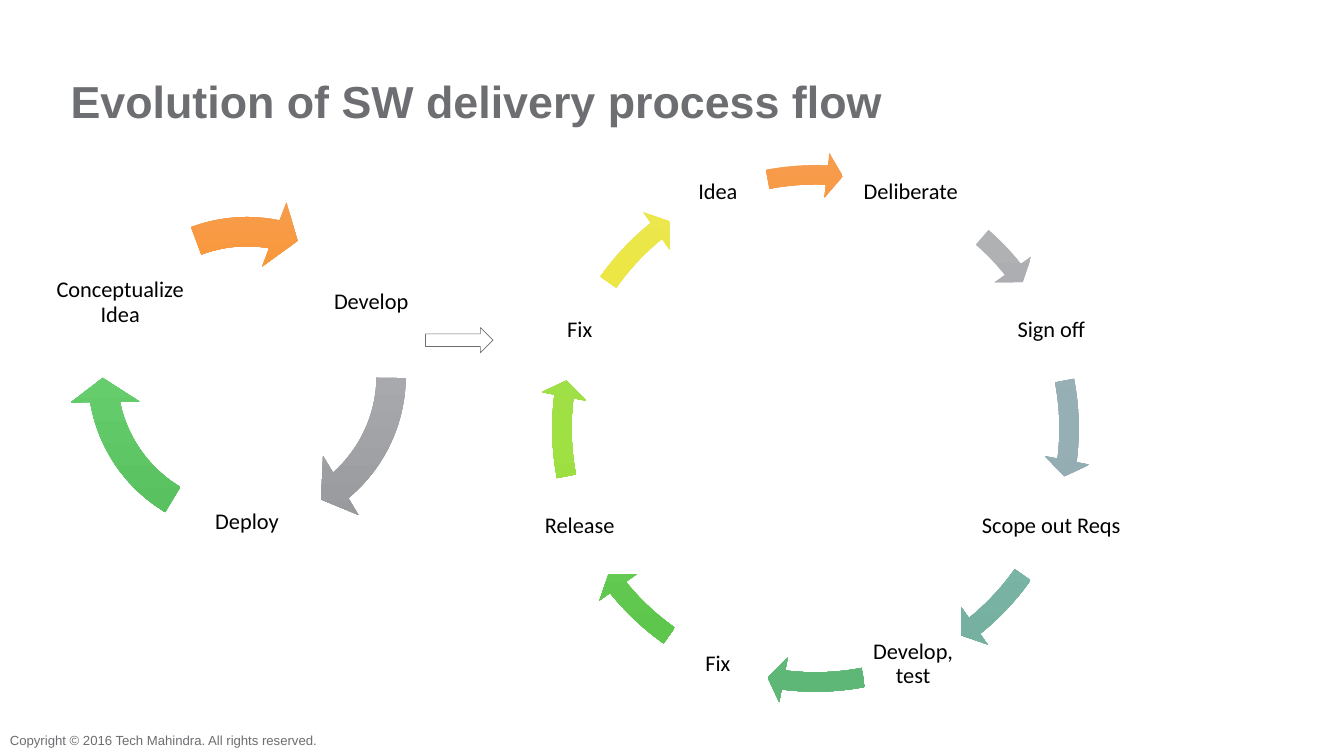
from copy import deepcopy
from dataclasses import dataclass
from math import cos, radians, sin

from pptx import Presentation
from pptx.dml.color import RGBColor
from pptx.enum import shapes, text
from pptx.util import Pt


@dataclass(frozen=True)
class Theme:
    heading: str = "Arial"
    body: str = "Calibri"
    title_size: float = 32
    label_size: float = 16
    footer_size: float = 9.4
    gray: str = "6D6E71"
    black: str = "000000"
    white: str = "FFFFFF"
    orange: tuple = ("F79C4F", "FE9112", "E5810D")
    silver: tuple = ("B1B3B5", "A7A9AC", "949699")
    green: tuple = ("7CCF81", "65CD6C", "54BC5B")
    steel: tuple = ("A3B7BB", "95AFB4", "839DA2")
    teal: tuple = ("94C2B5", "83BDAD", "71AB9B")
    jade: tuple = ("84CA97", "6FC788", "5EB677")
    leaf: tuple = ("81D474", "6CD35A", "5BC249")
    lime: tuple = ("A9DE65", "9FE043", "8FCF34")
    yellow: tuple = ("EAE658", "EEE92B", "DED91D")


T = Theme()
SHAPE = shapes.MSO_SHAPE
ALIGN = text.PP_ALIGN
MIDDLE = text.MSO_ANCHOR.MIDDLE

SHORT_CYCLE = dict(
    box=(48.9, 141, 255), label_ratio=0.41, label_height=107.3, first_angle=-30,
    head=9.59, thickness=0.082, head_width=0.096,
    steps=[
        ("Develop ", 107.3, 0.83, 49.45, T.silver),
        ("Deploy", 107.3, 120.96, 169.58, T.green),
        ("Conceptualize Idea", 107.3, 249.42, 280.99, T.orange),
    ])
LONG_CYCLE = dict(
    box=(385.2, 108.7, 394.6), label_ratio=0.462, label_height=70.6, first_angle=-67.5,
    head=3.62, thickness=0.035, head_width=0.041,
    steps=[
        ("Deliberate ", 100.1, 311.12, 321.16, T.silver),
        ("Sign off", 70.6, 349.13, 7.25, T.steel),
        ("Scope out Reqs", 121, 35.23, 51.16, T.teal),
        ("Develop, test", 70.6, 79.13, 97.25, T.jade),
        ("Fix", 70.6, 125.23, 141.16, T.leaf),
        ("Release", 70.6, 169.13, 187.25, T.lime),
        ("Fix", 70.6, 215.23, 231.16, T.yellow),
        ("Idea", 70.6, 259.13, 272.57, T.orange),
    ])


def set_attrs(obj, **values):
    for name, value in values.items():
        setattr(obj, name, value)


def write(s, content, font, size, color, align, margins, bold=False, spacing=1.0):
    tf = s.text_frame
    set_attrs(tf, word_wrap=True, auto_size=text.MSO_AUTO_SIZE.NONE, vertical_anchor=MIDDLE,
              margin_left=Pt(margins[0]), margin_right=Pt(margins[0]),
              margin_top=Pt(margins[1]), margin_bottom=Pt(margins[1]))
    p = tf.paragraphs[0]
    set_attrs(p, alignment=align, line_spacing=spacing)
    r = p.add_run()
    r.text = content
    set_attrs(r.font, name=font, size=Pt(size), bold=bold)
    r.font.color.rgb = RGBColor.from_string(color)


def fill_gradient(s, colors):
    s.fill.gradient()
    s.fill.gradient_angle = 270
    stops = s._element.spPr.gradFill.gsLst
    stops.append(deepcopy(stops[-1]))
    for stop, position, color in zip(s.fill.gradient_stops, (0, 0.5, 1), colors):
        stop.position = position
        stop.color.rgb = RGBColor.from_string(color)


def add_title(sld, box, content):
    s = sld.shapes.title
    set_attrs(s, **dict(zip(("left", "top", "width", "height"), map(Pt, box))))
    write(s, content, T.heading, T.title_size, T.gray, ALIGN.LEFT, (0, 0), True, 0.9)


def add_cycle(sld, box, label_ratio, label_height, first_angle, head, thickness,
              head_width, steps):
    x, y, size = box
    radius = size * label_ratio
    for i, (name, width, start, end, colors) in enumerate(steps):
        angle = radians(first_angle + i * 360 / len(steps))
        left = x + size / 2 + radius * cos(angle) - width / 2
        top = y + size / 2 + radius * sin(angle) - label_height / 2
        label = sld.shapes.add_textbox(Pt(left), Pt(top), Pt(width), Pt(label_height))
        write(label, name, T.body, T.label_size, T.black, ALIGN.CENTER, (1.6, 1.6),
              spacing=0.9)

        arrow = sld.shapes.add_shape(SHAPE.CIRCULAR_ARROW, Pt(x), Pt(y), Pt(size), Pt(size))
        arrow.shadow.inherit = False
        arrow.line.fill.background()
        fill_gradient(arrow, colors)
        values = (thickness, head * 0.6, end * 0.6, start * 0.6, head_width)
        for n, value in enumerate(values):
            arrow.adjustments[n] = value


def add_link_arrow(sld, box):
    s = sld.shapes.add_shape(SHAPE.RIGHT_ARROW, *map(Pt, box))
    s.shadow.inherit = False
    s.fill.solid()
    s.fill.fore_color.rgb = RGBColor.from_string(T.white)
    s.line.color.rgb = RGBColor.from_string(T.gray)
    s.line.width = Pt(0.5)


def add_footer(sld, box, content):
    s = sld.shapes.add_textbox(*map(Pt, box))
    write(s, content, T.heading, T.footer_size, T.gray, ALIGN.LEFT, (7.2, 3.6))


def main():
    prs = Presentation()
    set_attrs(prs, slide_width=Pt(960), slide_height=Pt(540))
    sld = prs.slides.add_slide(prs.slide_layouts[5])
    add_title(sld, (50.4, 56.9, 863.3, 34.6), "Evolution of SW delivery process flow")
    add_cycle(sld, **SHORT_CYCLE)
    add_cycle(sld, **LONG_CYCLE)
    add_link_arrow(sld, (304, 234, 48.2, 18))
    add_footer(sld, (0, 520.6, 239.8, 16.6),
               "Copyright © 2016 Tech Mahindra. All rights reserved.")
    prs.save("out.pptx")


if __name__ == "__main__":
    main()
